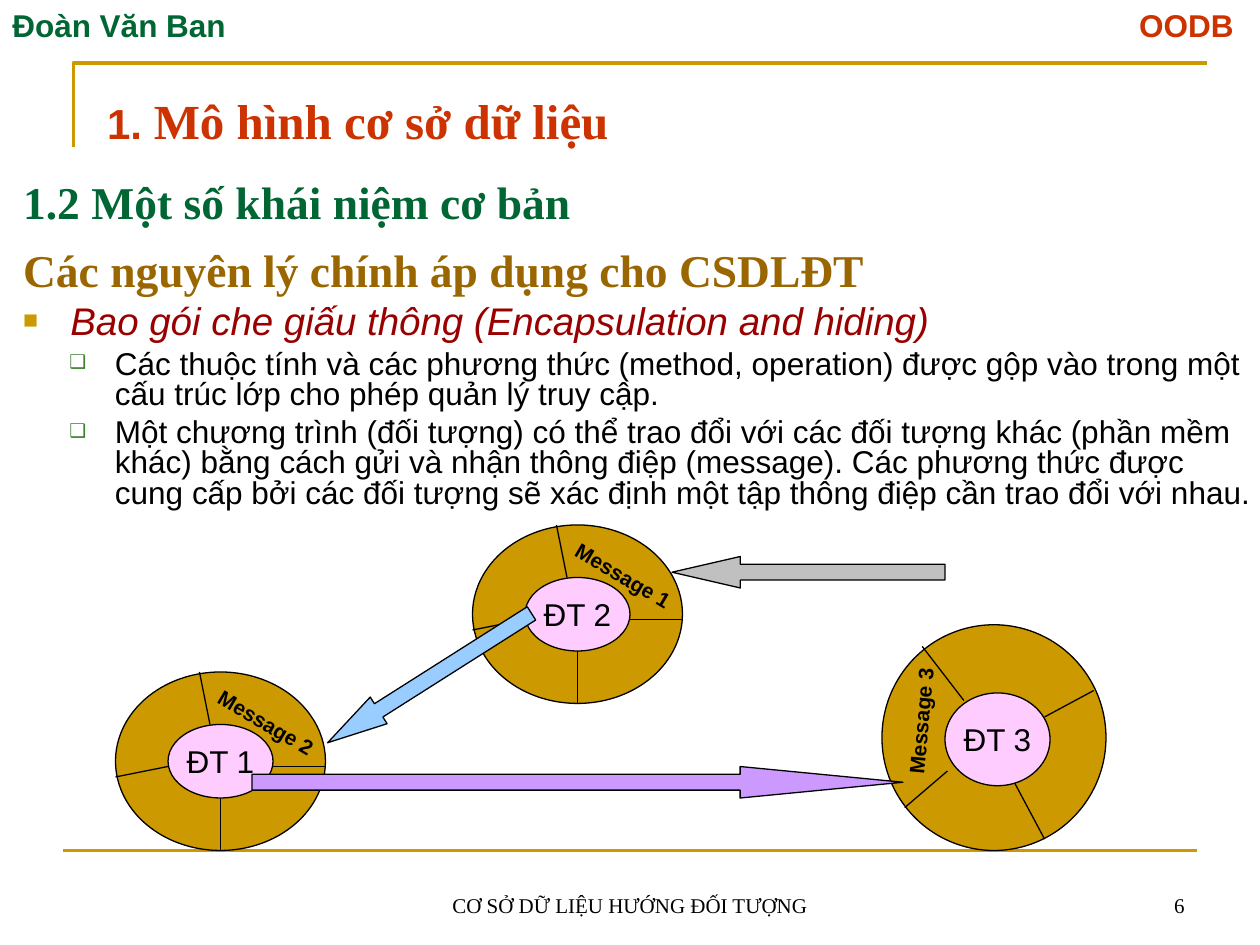
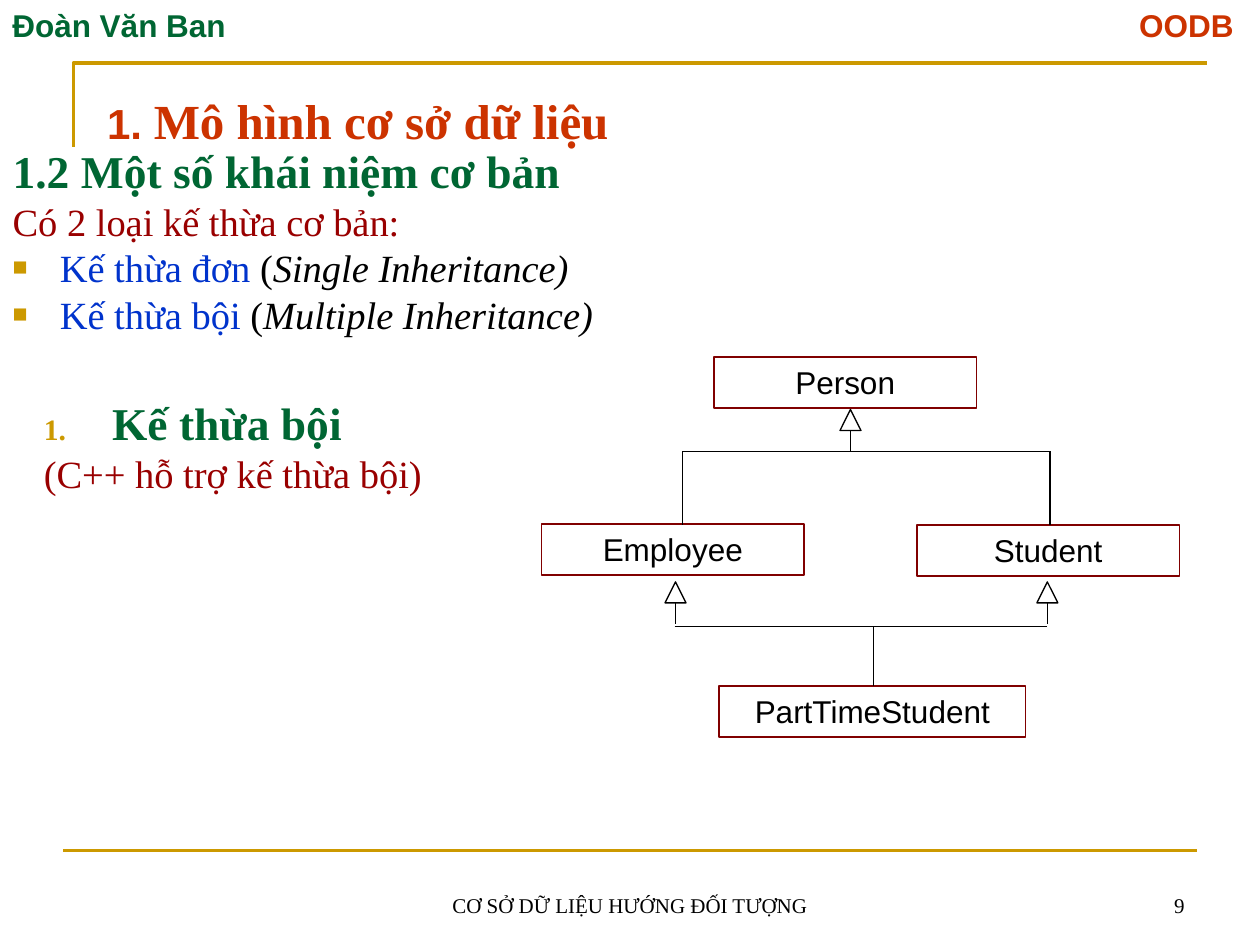
from lxml.etree import SubElement
from pptx import Presentation
from pptx.dml.color import RGBColor
from pptx.enum.shapes import MSO_CONNECTOR, MSO_SHAPE
from pptx.enum.text import MSO_ANCHOR, MSO_AUTO_SIZE, PP_ALIGN
from pptx.oxml.ns import qn
from pptx.util import Pt

ARIAL, TIMES = "Arial", "Times New Roman"
BLACK, WHITE, GOLD, GREEN = "000000", "FFFFFF", "CC9900", "006633"
ORANGE, RED, BLUE, PINK = "CC3300", "990000", "0033CC", "FFCCFF"
CENTER, RIGHT = PP_ALIGN.CENTER, PP_ALIGN.RIGHT

SQUARE = dict(char="■", color=GOLD, size=65)
HOLLOW = dict(char="❑", color="3B812F", size=60)
NUMBER = dict(char=None, color=GOLD, size=65)

HEADING = dict(size=26, font=TIMES, color=GREEN, bold=True, spacing=0.8, indent=27)
LEAD = dict(size=22, font=TIMES, color=RED, spacing=0.8, before=5.5, indent=27)
ITEM = dict(size=22, font=TIMES, color=BLUE, spacing=0.8, before=5.5,
            left=27, indent=27, bullet=SQUARE)
POINT = dict(spacing=0.8, before=4.5, left=52.5, indent=26, level=1, bullet=HOLLOW)


def rgb(color):
    return RGBColor.from_string(color)


def set_bullet(p, bullet):
    pPr = p._p.get_or_add_pPr()
    if bullet is None:
        SubElement(pPr, qn("a:buNone"))
        return
    clr = SubElement(pPr, qn("a:buClr"))
    SubElement(clr, qn("a:srgbClr"), val=bullet["color"])
    SubElement(pPr, qn("a:buSzPct"), val=str(bullet["size"] * 1000))
    if bullet["char"]:
        SubElement(pPr, qn("a:buChar"), char=bullet["char"])
    else:
        SubElement(pPr, qn("a:buAutoNum"), type="arabicPeriod")


def write(tf, text, size=18, font=ARIAL, color=BLACK, bold=False, italic=False,
          more=False, align=PP_ALIGN.LEFT, spacing=1.0, before=0, left=None,
          indent=0, level=0, bullet=None):
    p = tf.paragraphs[-1]
    if not more:
        if p.runs:
            p = tf.add_paragraph()
        p.alignment, p.level = align, level
        p.line_spacing, p.space_before = spacing, Pt(before)
        pPr = p._p.get_or_add_pPr()
        pPr.set("marL", str(Pt(indent if left is None else left)))
        pPr.set("indent", str(-Pt(indent)))
        set_bullet(p, bullet)
    r = p.add_run()
    r.text = text
    r.font.size, r.font.name = Pt(size), font
    r.font.bold, r.font.italic = bold, italic
    r.font.color.rgb = rgb(color)


class Deck:
    """Holds the lecture style and the slide being built."""

    def __init__(self):
        self.prs = Presentation()
        self.prs.slide_width, self.prs.slide_height = Pt(720), Pt(540)
        self.s = None

    def new_slide(self, number, body_box):
        self.s = self.prs.slides.add_slide(self.prs.slide_layouts[1])
        self.frame()
        write(self.text(0, 0, 360, 29), "Đoàn Văn Ban", color=GREEN, bold=True)
        write(self.text(592, 0, 120, 29), "OODB", color=ORANGE, bold=True, align=RIGHT)
        write(self.text(246, 492, 228, 36, MSO_ANCHOR.BOTTOM),
              "CƠ SỞ DỮ LIỆU HƯỚNG ĐỐI TƯỢNG", size=12, font=TIMES, align=CENTER)
        write(self.text(516, 492, 168, 36, MSO_ANCHOR.BOTTOM), str(number),
              size=12, font=TIMES, align=RIGHT)
        tf = self.placeholder(0, 54, 48, 666, 41)
        write(tf, "1. ", size=24, color=ORANGE, bold=True)
        write(tf, "Mô hình cơ sở dữ liệu", size=28, font=TIMES, color=ORANGE,
              bold=True, more=True)
        return self.placeholder(1, *body_box)

    def frame(self):
        fb = self.s.shapes.build_freeform(Pt(42), Pt(84))
        fb.add_line_segments([(Pt(42), Pt(36)), (Pt(690), Pt(36))], close=False)
        self.paint(fb.convert_to_shape(), None, GOLD, 2.25)
        self.line(36, 486, 684, 486, GOLD, 1.5)

    def placeholder(self, index, x, y, w, h):
        sp = self.s.placeholders[index]
        sp.left, sp.top, sp.width, sp.height = Pt(x), Pt(y), Pt(w), Pt(h)
        tf = sp.text_frame
        tf.auto_size, tf.vertical_anchor = MSO_AUTO_SIZE.NONE, MSO_ANCHOR.TOP
        return tf

    def text(self, x, y, w, h, anchor=MSO_ANCHOR.TOP, rotation=0):
        sp = self.s.shapes.add_textbox(Pt(x), Pt(y), Pt(w), Pt(h))
        sp.rotation = rotation
        tf = sp.text_frame
        tf.word_wrap, tf.vertical_anchor = True, anchor
        return tf

    def paint(self, sp, fill, line, width):
        sp.shadow.inherit = False
        if fill:
            sp.fill.solid()
            sp.fill.fore_color.rgb = rgb(fill)
        else:
            sp.fill.background()
        sp.line.color.rgb, sp.line.width = rgb(line), Pt(width)

    def shape(self, kind, x, y, w, h, fill=None, line=BLACK, width=0.75):
        sp = self.s.shapes.add_shape(kind, Pt(x), Pt(y), Pt(w), Pt(h))
        self.paint(sp, fill, line, width)
        return sp

    def line(self, x1, y1, x2, y2, color=BLACK, width=0.75):
        cn = self.s.shapes.add_connector(MSO_CONNECTOR.STRAIGHT,
                                         Pt(x1), Pt(y1), Pt(x2), Pt(y2))
        cn.line.color.rgb, cn.line.width = rgb(color), Pt(width)
        SubElement(cn._element.spPr, qn("a:effectLst"))

    def arrow(self, kind, x, y, w, head, fill, rotation=0):
        sp = self.shape(kind, x, y, w, 18, fill)
        sp.adjustments[0], sp.adjustments[1] = 0.5, head
        sp.rotation = rotation

    def wheel(self, x, y, name, message, size, hub, spokes, label, rotation):
        self.shape(MSO_SHAPE.OVAL, x, y, *size, GOLD)
        for x1, y1, x2, y2 in spokes:
            self.line(x + x1, y + y1, x + x2, y + y2)
        dx, dy, w, h = hub
        tf = self.shape(MSO_SHAPE.OVAL, x + dx, y + dy, w, h, PINK).text_frame
        tf.word_wrap, tf.vertical_anchor = False, MSO_ANCHOR.MIDDLE
        write(tf, name, align=CENTER)
        dx, dy = label
        write(self.text(x + dx, y + dy, 84, 21.6, rotation=rotation), message,
              size=12, bold=True)

    def class_box(self, name, x, y, w=150):
        tf = self.shape(MSO_SHAPE.RECTANGLE, x, y, w, 29, None, "800000", 1).text_frame
        tf.vertical_anchor = MSO_ANCHOR.TOP
        write(tf, name, align=CENTER)

    def inherit_mark(self, x, y):
        self.shape(MSO_SHAPE.ISOSCELES_TRIANGLE, x - 6, y, 12, 12, WHITE)
        self.line(x, y + 12, x, y + 24)


def encapsulation_slide(deck):
    tf = deck.new_slide(6, (6, 102, 720, 210))
    write(tf, "1.2 Một số khái niệm cơ bản", before=6.5, **HEADING)
    write(tf, "Các nguyên lý chính áp dụng cho CSDLĐT", before=14,
          **{**HEADING, "color": "996600"})
    write(tf, "Bao gói che giấu thông (Encapsulation and hiding)",
          **{**ITEM, "font": ARIAL, "color": RED, "italic": True})
    write(tf, "Các thuộc tính và các phương thức (method, operation) được gộp vào "
              "trong một cấu trúc lớp cho phép quản lý truy cập.", **POINT)
    write(tf, "Một chương trình (đối tượng) có thể trao đổi với các đối tượng khác "
              "(phần mềm khác) bằng cách gửi và nhận thông điệp (message). Các phương "
              "thức được cung cấp bởi các đối tượng sẽ xác định một tập thông điệp "
              "cần trao đổi với nhau.", **POINT)

    small = dict(size=(120, 102), hub=(30, 30, 60, 42), label=(48, 20.5), rotation=30.7,
                 spokes=[(48, 0, 54, 30), (90, 54, 120, 54),
                         (30, 54, 0, 60), (60, 72, 60, 102)])
    large = dict(size=(128, 129), hub=(36, 39, 60, 53), label=(-19.4, 39.7),
                 rotation=275.3,
                 spokes=[(23, 12.4, 46.8, 43.3), (92.9, 52.7, 121, 37.6),
                         (37.4, 83.6, 13, 104.5), (74.9, 88.7, 92.9, 122.5)])
    deck.wheel(66, 384, "ĐT 1", "Message 2", **small)
    deck.wheel(270, 300, "ĐT 2", "Message 1", **small)
    deck.wheel(504, 357, "ĐT 3", "Message 3", **large)

    deck.arrow(MSO_SHAPE.LEFT_ARROW, 176.5, 378.5, 138, 1.92, "99CCFF", 327.6)
    deck.arrow(MSO_SHAPE.RIGHT_ARROW, 144, 438, 372, 5.17, "CC99FF")
    deck.arrow(MSO_SHAPE.LEFT_ARROW, 384, 318, 156, 2.17, "C0C0C0")


def inheritance_slide(deck):
    tf = deck.new_slide(9, (0, 84, 720, 114))
    write(tf, "1.2 Một số khái niệm cơ bản", before=6.5, **HEADING)
    write(tf, "Có 2 loại kế thừa cơ bản:", **LEAD)
    for kind, english in (("đơn", "Single"), ("bội", "Multiple")):
        write(tf, f"Kế thừa {kind} ", **ITEM)
        write(tf, "(", size=22, font=TIMES, more=True)
        write(tf, f"{english} Inheritance)", size=22, font=TIMES, italic=True, more=True)

    tf = deck.text(18, 228, 258, 48)
    write(tf, "Kế thừa bội", before=6.5, **{**HEADING, "indent": 39, "bullet": NUMBER})
    write(tf, "(C++ hỗ trợ kế thừa bội)", **{**LEAD, "indent": 39})

    deck.class_box("Person", 408, 204)
    deck.class_box("Employee", 309.5, 299.5)
    deck.class_box("Student", 524, 300)
    deck.class_box("PartTimeStudent", 411, 392, 175)

    deck.inherit_mark(486, 234)
    deck.line(390, 258, 600, 258)
    for x in (390, 600):
        deck.line(x, 258, x, 300)
    for x in (386, 598.5):
        deck.inherit_mark(x, 332.5)
    deck.line(385.5, 358, 598.5, 358)
    deck.line(499, 392, 499, 358)


def main():
    deck = Deck()
    encapsulation_slide(deck)
    inheritance_slide(deck)
    deck.prs.save("out.pptx")


if __name__ == "__main__":
    main()
